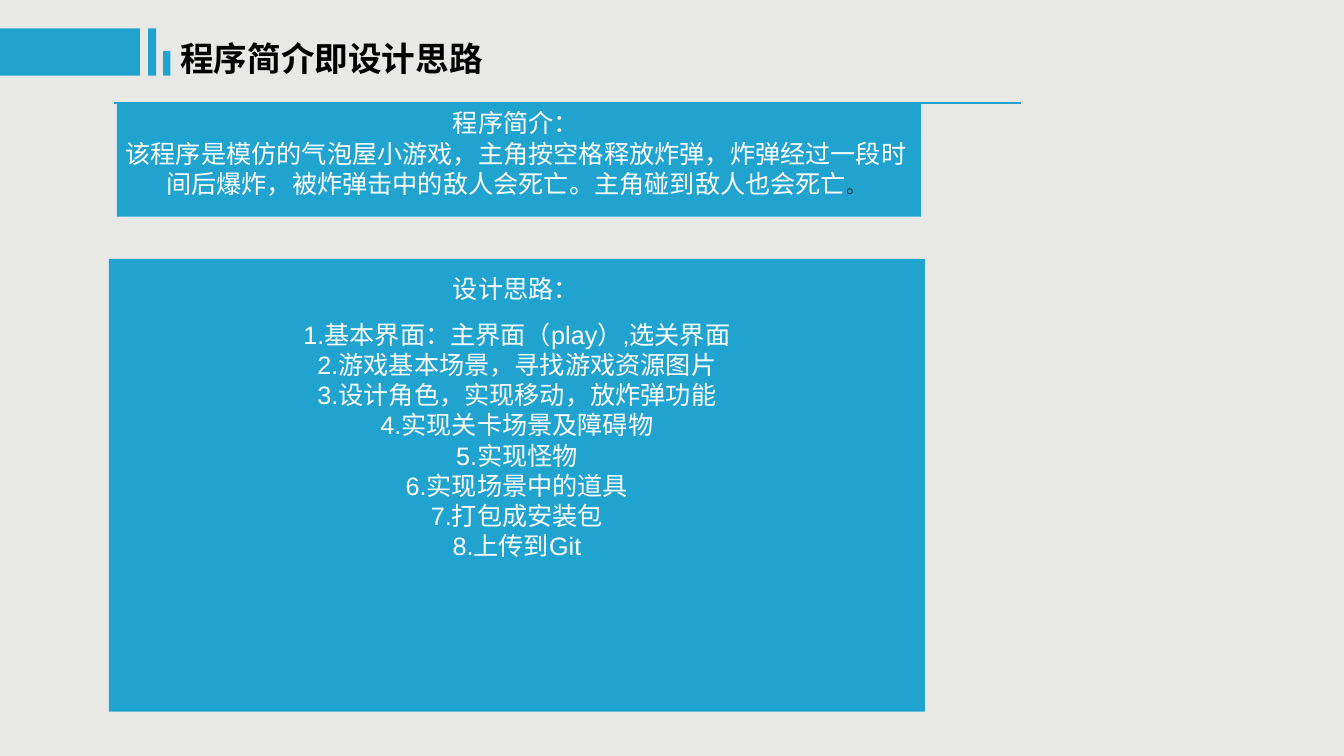
from pptx import Presentation
from pptx.dml.color import RGBColor
from pptx.enum import shapes, text
from pptx.util import Pt
from lxml import etree

BLUE, WHITE, BLACK, DARK, PAPER = "21A3D0", "FFFFFF", "000000", "2B2E30", "E8E8E6"
LATIN, CHINESE = "Arial", "Noto Sans CJK SC"

TITLE = "程序简介即设计思路"
INTRO = [
    [("程序简介：", 18, WHITE, LATIN)],
    [("该程序是模仿的气泡屋小游戏，主角按空格释放炸弹，炸弹经过一段时间后爆炸，"
      "被炸弹击中的敌人会死亡。主角碰到敌人也会死亡", 18, WHITE, LATIN),
     ("。", 14, DARK, CHINESE)],
]
STEPS_HEADING = "设计思路："
STEPS = [
    "基本界面：主界面（play）,选关界面",
    "游戏基本场景，寻找游戏资源图片",
    "设计角色，实现移动，放炸弹功能",
    "实现关卡场景及障碍物",
    "实现怪物",
    "实现场景中的道具",
    "打包成安装包",
    "上传到Git",
]

BARS = [(0, 20.2, 100, 33.8), (105.8, 20.2, 5.8, 33.8), (116.6, 36.4, 5.2, 17.6)]
INTRO_PANEL = (83.5, 73.4, 574.6, 81.4)
STEPS_PANEL = (77.8, 185, 583.2, 323.3)
TEXT_LEFT, TEXT_WIDTH = 81.4, 574.6


def color(value):
    return RGBColor.from_string(value)


def place(shape, box):
    shape.left, shape.top, shape.width, shape.height = map(Pt, box)


def fill_blue(shape):
    shape.fill.solid()
    shape.fill.fore_color.rgb = color(BLUE)


def add_block(slide, box):
    shape = slide.shapes.add_shape(shapes.MSO_SHAPE.RECTANGLE, *map(Pt, box))
    fill_blue(shape)
    shape.line.fill.background()
    shape.shadow.inherit = False


def write(shape, paragraphs, align, bold=False, top_inset=3.6):
    frame = shape.text_frame
    frame.word_wrap = True
    frame.auto_size = text.MSO_AUTO_SIZE.NONE
    frame.vertical_anchor = text.MSO_ANCHOR.TOP
    frame.margin_top = Pt(top_inset)
    for index, runs in enumerate(paragraphs):
        paragraph = frame.add_paragraph() if index else frame.paragraphs[0]
        paragraph.alignment = align
        paragraph.space_before = Pt(0)
        for words, size, shade, font in runs:
            run = paragraph.add_run()
            run.text = words
            run.font.size = Pt(size)
            run.font.name = font
            run.font.bold = bold
            run.font.color.rgb = color(shade)
    return frame


def add_text(slide, box, paragraphs):
    shape = slide.shapes.add_textbox(*map(Pt, box))
    write(shape, paragraphs, text.PP_ALIGN.CENTER)


def add_rule(slide, left, right, y):
    line = slide.shapes.add_connector(
        shapes.MSO_CONNECTOR.STRAIGHT, Pt(left), Pt(y), Pt(right), Pt(y))
    line.line.color.rgb = color(BLUE)
    line.line.width = Pt(1.5)
    properties = line._element.spPr
    etree.SubElement(properties, properties.tag.replace("spPr", "effectLst").replace(
        "presentationml", "drawingml"))


def main():
    presentation = Presentation()
    presentation.slide_width, presentation.slide_height = Pt(960.48), Pt(540)
    slide = presentation.slides.add_slide(presentation.slide_layouts[1])
    slide.background.fill.solid()
    slide.background.fill.fore_color.rgb = color(PAPER)

    for bar in BARS:
        add_block(slide, bar)

    title, steps = slide.placeholders
    place(title, (121.7, 23.8, 308.2, 36))
    write(title, [[(TITLE, 24, BLACK, LATIN)]], text.PP_ALIGN.LEFT, bold=True)

    add_rule(slide, 81.4, 729.4, 73.4)
    add_block(slide, INTRO_PANEL)
    add_text(slide, (TEXT_LEFT, 73.4, TEXT_WIDTH, 89.3), INTRO)

    place(steps, STEPS_PANEL)
    fill_blue(steps)
    lines = [[(f"{number}.{step}", 18, WHITE, LATIN)]
             for number, step in enumerate(STEPS, 1)]
    frame = write(steps, lines, text.PP_ALIGN.CENTER, top_inset=42.8)
    for paragraph in frame.paragraphs:
        properties = paragraph._p.get_or_add_pPr()
        properties.set("marL", "0")
        properties.set("indent", "0")
        etree.SubElement(properties, properties.tag.replace("pPr", "buNone"))

    add_text(slide, (TEXT_LEFT, 191.5, TEXT_WIDTH, 50.4),
             [[(STEPS_HEADING, 18, WHITE, LATIN)]])
    presentation.save("out.pptx")


if __name__ == "__main__":
    main()
